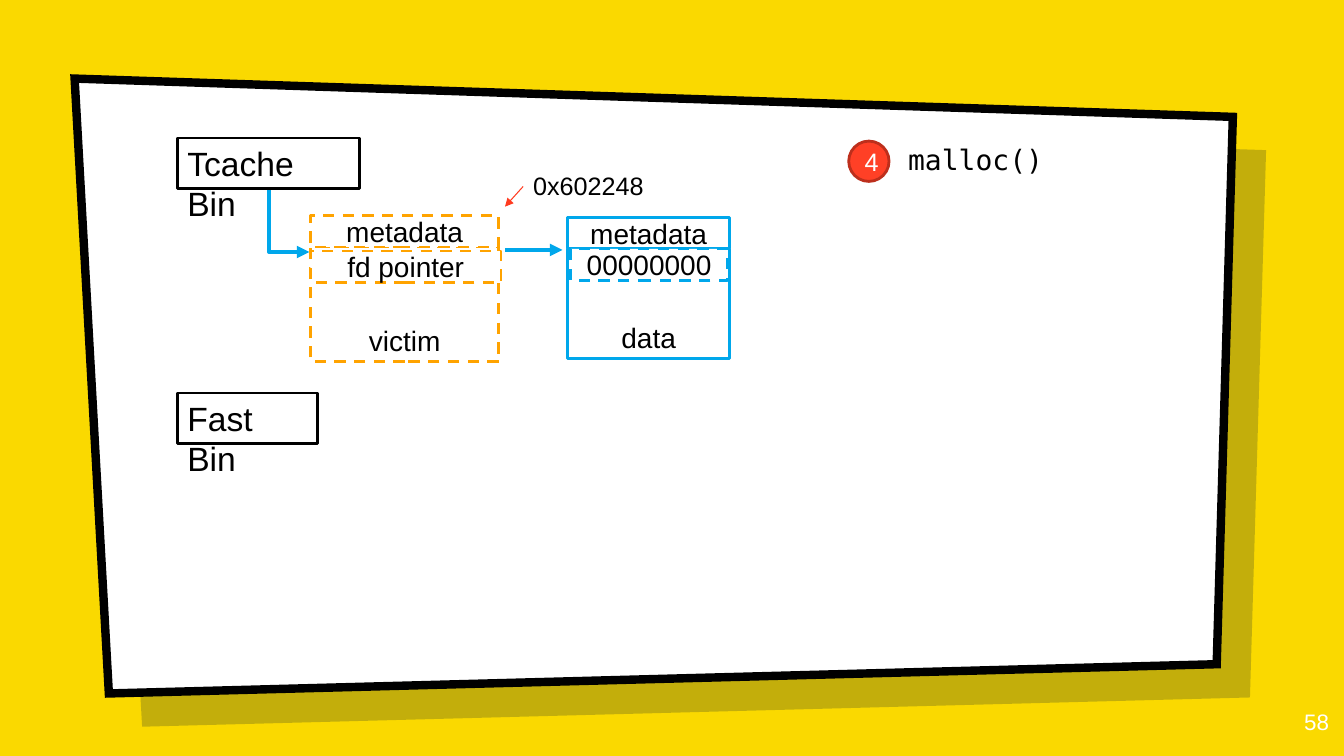
from lxml import etree
from pptx import Presentation, util as u
from pptx.dml.color import RGBColor
from pptx.enum import dml, shapes, text
from pptx.oxml.ns import qn

CELL = u.Inches(0.1)
COLUMNS, ROWS = 133.33, 75
ROW_HEIGHT = 3.1
YELLOW, WHITE, BLACK = "FAD900", "FFFFFF", "000000"
BLUE, ORANGE, RED = "00A7EB", "FFA300", "FF4026"
RECT, OVAL = shapes.MSO_SHAPE.RECTANGLE, shapes.MSO_SHAPE.OVAL
STRAIGHT, ELBOW = shapes.MSO_CONNECTOR.STRAIGHT, shapes.MSO_CONNECTOR.ELBOW
LEFT, CENTER, RIGHT = text.PP_ALIGN.LEFT, text.PP_ALIGN.CENTER, text.PP_ALIGN.RIGHT
TOP, MIDDLE, BOTTOM = text.MSO_ANCHOR.TOP, text.MSO_ANCHOR.MIDDLE, text.MSO_ANCHOR.BOTTOM


def grid(*cells):
    """Turn grid cells into slide lengths."""
    return [u.Emu(round(cell * CELL)) for cell in cells]


def paint(color_format, color):
    """Apply a solid hex colour to a fill."""
    color_format.solid()
    color_format.fore_color.rgb = RGBColor.from_string(color)


def outline(part, color, width, dashed=False):
    """Draw the border of a shape or the stroke of a connector."""
    if color is None:
        part.line.fill.background()
        return
    paint(part.line.fill, color)
    part.line.width = u.Pt(width)
    if dashed:
        part.line.dash_style = dml.MSO_LINE.DASH


def write(part, words, size, color=BLACK, font="Arial", align=LEFT, anchor=TOP, wrap=True):
    """Put formatted words into a shape."""
    frame = part.text_frame
    frame.word_wrap = wrap
    frame.vertical_anchor = anchor
    frame.text = words
    paragraph = frame.paragraphs[0]
    paragraph.alignment = align
    run_font = paragraph.runs[0].font
    run_font.name, run_font.size = font, u.Pt(size)
    run_font.color.rgb = RGBColor.from_string(color)


def add_block(parent, box, words, size, border=None, fill=WHITE, dashed=False,
              kind=RECT, **style):
    """Add a filled, labelled shape."""
    block = parent.add_shape(kind, *grid(*box))
    block.shadow.inherit = False
    paint(block.fill, fill)
    outline(block, border, 2, dashed)
    write(block, words, size, **style)


def add_arrow(parent, start, end, color, width, kind=STRAIGHT):
    """Add a connector with a triangle at its end."""
    arrow = parent.add_connector(kind, *grid(*start, *end))
    outline(arrow, color, width)
    etree.SubElement(arrow.line._get_or_add_ln(), qn("a:tailEnd"), type="triangle")
    etree.SubElement(arrow._element.spPr, qn("a:effectLst"))
    return arrow


def add_corner_arrow(parent, start, end, color, width):
    """Add an arrow that runs down and then right."""
    half_x, half_y = (end[0] - start[0]) / 2, (end[1] - start[1]) / 2
    x, y = start[0] + half_x, start[1] + half_y
    arrow = add_arrow(parent, (x + half_y, y - half_x), (x - half_y, y + half_x),
                      color, width, ELBOW)
    properties = arrow._element.spPr
    properties.find(qn("a:prstGeom")).set("prst", "bentConnector2")
    properties.find(qn("a:xfrm")).set("rot", "16200000")


def add_panel(parent, left, top, fill, border=None, opacity=None):
    """Add one slanted panel at the given corner."""
    corners = [(0, 0), (114.9, 3.8), (113.3, 58.1), (3.4, 61)]
    points = [tuple(grid(left + x, top + y)) for x, y in corners]
    builder = parent.build_freeform(*points[0])
    builder.add_line_segments(points[1:], close=True)
    panel = builder.convert_to_shape()
    panel.shadow.inherit = False
    paint(panel.fill, fill)
    outline(panel, border, 6)
    if border:
        etree.SubElement(panel.line._get_or_add_ln(), qn("a:miter"), lim="800000")
    if opacity:
        color = panel._element.spPr.find(qn("a:solidFill"))[0]
        etree.SubElement(color, qn("a:alpha"), val=str(opacity * 1000))


def add_backdrop(slide):
    """Add the background, the slanted panel and the slide number."""
    paint(slide.background.fill, YELLOW)
    left, top, offset = 7.4, 7.8, 3.3
    add_panel(slide.shapes, left + offset, top + offset, "001936", opacity=22)
    add_panel(slide.shapes, left, top, WHITE, BLACK)
    width, height = 8, 5.7
    number = slide.shapes.add_textbox(
        *grid(COLUMNS - width - 0.5, ROWS - height, width, height))
    write(number, "58", 16, WHITE, align=RIGHT)
    frame = number.text_frame
    frame.margin_top = frame.margin_bottom = CELL


def add_chunk(parent, box, field_box, words, color, dashed=False):
    """Add a heap chunk: body, metadata row and first field."""
    left, top, width, height = box
    header, field, body = words
    chunk = parent.add_group_shape().shapes
    rows = [
        ((left, top + ROW_HEIGHT, width, height - ROW_HEIGHT), body, dashed, BOTTOM),
        ((left, top, width, ROW_HEIGHT), header, dashed, MIDDLE),
        ((*field_box, ROW_HEIGHT), field, True, MIDDLE),
    ]
    for row_box, label, row_dashed, anchor in rows:
        add_block(chunk, row_box, label, 20, color, dashed=row_dashed,
                  align=CENTER, anchor=anchor)


def add_bins(parent, left, top):
    """Add the two bin labels and the arrow out of the first."""
    add_corner_arrow(parent, (left + 9.1, top + 5.1), (left + 13.1, top + 11.3), BLUE, 3)
    for label, width, down in [("Tcache Bin", 18.1, 0), ("Fast Bin", 13.9, 25.3)]:
        add_block(parent, (left, top + down, width, 5), label, 24, BLACK)


def add_chunks(parent, left, top):
    """Add the linked chunks and the address note."""
    add_chunk(parent, (left + 25.5, top + 0.2, 16.1, 14),
              (left + 25.8, top + 3.3, 15.6), ("metadata", "00000000", "data"), BLUE)
    add_chunk(parent, (left, top, 18.7, 14.5),
              (left, top + 3.5, 18.9), ("metadata", "fd pointer", "victim"), ORANGE, True)
    add_arrow(parent, (left + 19.3, top + 3.4), (left + 25, top + 3.4), BLUE, 3)
    note = parent.add_group_shape().shapes
    address = note.add_textbox(*grid(left + 21.1, top - 5, 13.4, 4))
    write(address, "0x602248", 18, wrap=False)
    add_arrow(note, (left + 21.1, top - 2.9), (left + 19.3, top - 0.9), "FF3B20", 0.75)


def add_step(parent, left, top):
    """Add the numbered call."""
    add_block(parent, (left, top, 4, 4), "4", 18, "BD2F1C", RED, kind=OVAL,
              color=WHITE, align=CENTER, anchor=MIDDLE)
    add_block(parent, (left + 4.9, top - 0.8, 23, 5.3), "malloc()", 20,
              font="DejaVu Sans Mono", anchor=MIDDLE)


def main():
    """Build and save the slide."""
    deck = Presentation()
    deck.slide_width, deck.slide_height = grid(COLUMNS, ROWS)
    slide = deck.slides.add_slide(deck.slide_layouts[6])
    add_backdrop(slide)
    add_bins(slide.shapes, 17.6, 13.7)
    add_chunks(slide.shapes, 30.8, 21.4)
    add_step(slide.shapes, 84.2, 14)
    deck.save("out.pptx")


if __name__ == "__main__":
    main()
